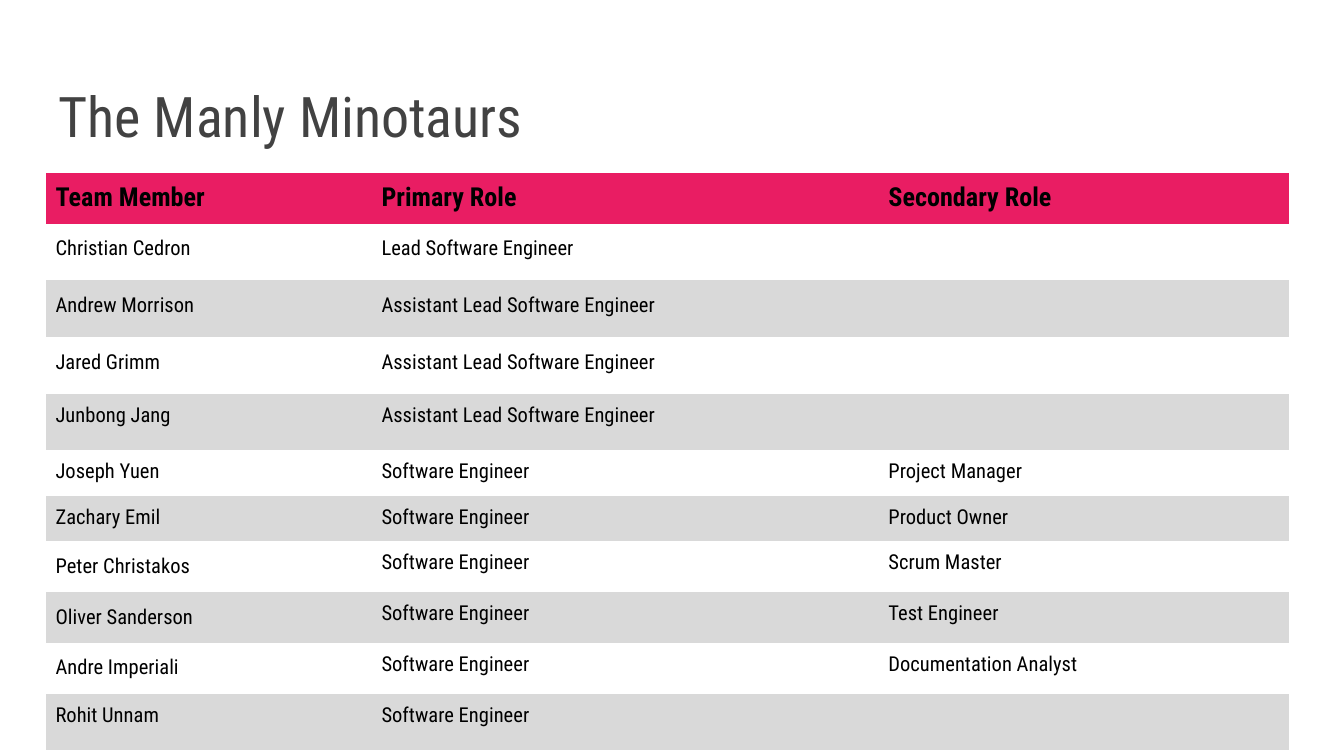
from dataclasses import dataclass

from pptx import Presentation, util as u
from pptx.dml.color import RGBColor
from pptx.enum import text
from pptx.oxml.ns import qn


@dataclass(frozen=True)
class Theme:
    font: str = "Roboto Condensed"
    title_color: str = "424242"
    text_color: str = "000000"
    header_fill: str = "E91D63"
    row_fills: tuple = ("FFFFFF", "D9D9D9")
    title_size: int = 30
    header_size: int = 14
    body_size: int = 11
    loose_spacing: float = 1.15
    plain_table: str = "{2D5ABB26-0587-4C30-8999-92F81FD0307C}"


HEADER = ("Team Member", "Primary Role", "Secondary Role")
LEAD, ASSISTANT, ENGINEER = (
    "Lead Software Engineer", "Assistant Lead Software Engineer", "Software Engineer")

# Member, primary role, secondary role, row height in cm, columns with loose line spacing
TEAM = [
    ("Christian Cedron", LEAD, "", 1.07, 2),
    ("Andrew Morrison", ASSISTANT, "", 1.07, 2),
    ("Jared Grimm", ASSISTANT, "", 1.07, 2),
    ("Junbong Jang", ASSISTANT, "", 1.07, 0),
    ("Joseph Yuen", ENGINEER, "Project Manager", 0.86, 0),
    ("Zachary Emil", ENGINEER, "Product Owner", 0.86, 0),
    ("Peter Christakos", ENGINEER, "Scrum Master", 0.96, 1),
    ("Oliver Sanderson", ENGINEER, "Test Engineer", 0.96, 1),
    ("Andre Imperiali", ENGINEER, "Documentation Analyst", 0.96, 1),
    ("Rohit Unnam", ENGINEER, "", 1.07, 0),
]
HEADER_HEIGHT = 0.96
COLUMN_WIDTHS = (6.16, 9.58, 7.75)


def write_text(frame, words, *, font, size, color, bold=False, spacing=None):
    """Write one left-aligned paragraph in the given format."""
    paragraph = frame.paragraphs[0]
    paragraph.alignment = text.PP_ALIGN.LEFT
    if spacing:
        paragraph.line_spacing = spacing
    run = paragraph.add_run()
    run.text = words
    run.font.name = font
    run.font.size = u.Pt(size)
    run.font.bold = bold
    run.font.color.rgb = RGBColor.from_string(color)


def set_margins(target, margin):
    target.margin_left = target.margin_right = margin
    target.margin_top = target.margin_bottom = margin


class SlideBuilder:
    def __init__(self, slide, theme):
        self.slide = slide
        self.theme = theme

    def title(self, words, left, top, width, height):
        shape = self.slide.shapes.title
        shape.left, shape.top = u.Cm(left), u.Cm(top)
        shape.width, shape.height = u.Cm(width), u.Cm(height)
        frame = shape.text_frame
        frame.word_wrap = True
        frame.auto_size = text.MSO_AUTO_SIZE.NONE
        frame.vertical_anchor = text.MSO_ANCHOR.BOTTOM
        set_margins(frame, u.Cm(0.25))
        write_text(frame, words, font=self.theme.font, size=self.theme.title_size,
                   color=self.theme.title_color, spacing=1.0)

    def cell(self, cell, words, fill, **text_format):
        cell.fill.solid()
        cell.fill.fore_color.rgb = RGBColor.from_string(fill)
        cell.vertical_anchor = text.MSO_ANCHOR.TOP
        # Empty cells have no margins, so that they never stretch a row
        set_margins(cell, u.Cm(0.18 if words else 0))
        if words:
            write_text(cell.text_frame, words, font=self.theme.font,
                       color=self.theme.text_color, **text_format)

    def team_table(self, left, top, header, team):
        heights = [HEADER_HEIGHT] + [member[3] for member in team]
        frame = self.slide.shapes.add_table(
            len(heights), len(header), u.Cm(left), u.Cm(top),
            u.Cm(sum(COLUMN_WIDTHS)), u.Cm(sum(heights)))
        table = frame.table
        table.first_row = table.horz_banding = False
        next(frame.element.iter(qn("a:tableStyleId"))).text = self.theme.plain_table

        for column, width in zip(table.columns, COLUMN_WIDTHS):
            column.width = u.Cm(width)
        for row, height in zip(table.rows, heights):
            row.height = u.Cm(height)

        # Header row
        for column, words in enumerate(header):
            self.cell(table.cell(0, column), words, self.theme.header_fill,
                      size=self.theme.header_size, bold=True)

        # Member rows with alternating fills
        for index, (*words, _, loose_columns) in enumerate(team):
            fill = self.theme.row_fills[index % 2]
            for column, value in enumerate(words):
                spacing = self.theme.loose_spacing if column < loose_columns else None
                self.cell(table.cell(index + 1, column), value, fill,
                          size=self.theme.body_size, spacing=spacing)


def main():
    presentation = Presentation()
    presentation.slide_width, presentation.slide_height = u.Cm(25.4), u.Cm(14.29)
    title_only = presentation.slide_layouts[5]
    builder = SlideBuilder(presentation.slides.add_slide(title_only), Theme())

    builder.title("The Manly Minotaurs", 0.86, 1.04, 23.67, 2.03)
    builder.team_table(0.87, 3.27, HEADER, TEAM)

    presentation.save("out.pptx")


if __name__ == "__main__":
    main()
